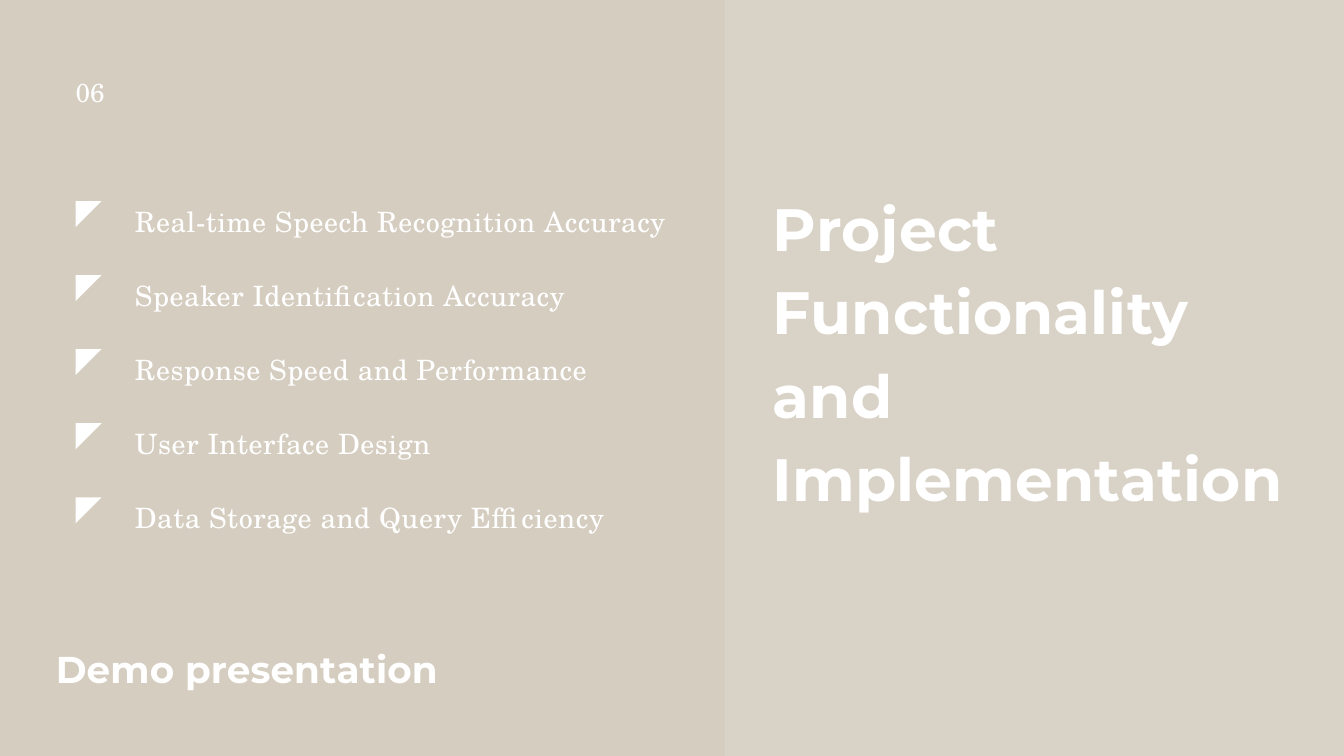
"""Build the project functionality slide."""
from lxml import etree
from pptx import Presentation
from pptx.dml.color import RGBColor
from pptx.enum.shapes import MSO_SHAPE
from pptx.enum.text import MSO_ANCHOR, MSO_AUTO_SIZE, PP_ALIGN
from pptx.oxml.ns import qn
from pptx.util import Cm, Pt

RECT, CORNER = MSO_SHAPE.RECTANGLE, MSO_SHAPE.RIGHT_TRIANGLE
TOP, LEFT, FIXED = MSO_ANCHOR.TOP, PP_ALIGN.LEFT, MSO_AUTO_SIZE.NONE

TITLE = "Project Functionality and Implementation"
NUMBER = "06"
FOOTER = "Demo presentation"
GOALS = [
    "Real-time Speech Recognition Accuracy",
    "Speaker Identification Accuracy",
    "Response Speed and Performance",
    "User Interface Design",
    "Data Storage and Query Efficiency",
]

THEME = {
    "back": RGBColor(0xD5, 0xCD, 0xC0),
    "ink": RGBColor(0xFF, 0xFF, 0xFF),
    "veil": 10,
    "title": {"font": "Montserrat", "size": 64, "bold": True, "line": 89.6, "track": 0.2},
    "footer": {"font": "Montserrat", "size": 40, "bold": True, "line": 89.6, "track": 0.2},
    "goal": {"font": "TeX Gyre Schola", "size": 30, "bold": False, "line": 45, "track": 0.6},
    "number": {"font": "TeX Gyre Schola", "size": 28, "bold": False, "line": 39.2, "track": 0},
}

WIDTH, HEIGHT = 50.8, 28.58
MARGIN, PITCH, MARK = 2.86, 2.8, 0.98
LIST_TOP, MARK_TOP = 7.42, 7.6


def place(shape, left, top, width, height):
    shape.left, shape.top = Cm(left), Cm(top)
    shape.width, shape.height = Cm(width), Cm(height)


def write(shape, lines, style, gap=0):
    frame = shape.text_frame
    frame.word_wrap, frame.auto_size = True, FIXED
    frame.vertical_anchor = TOP
    frame.margin_left = frame.margin_right = frame.margin_top = frame.margin_bottom = 0
    for i, line in enumerate(lines):
        para = frame.add_paragraph() if i else frame.paragraphs[0]
        props = para._p.get_or_add_pPr()
        props.set("marL", "0")
        props.set("indent", "0")
        etree.SubElement(props, qn("a:buNone"))
        para.alignment = LEFT
        para.line_spacing = Pt(style["line"])
        para.space_before = Pt(gap if i else 0)
        run = para.add_run()
        run.text = line
        font = run.font
        font.name, font.size, font.bold = style["font"], Pt(style["size"]), style["bold"]
        font.color.rgb = THEME["ink"]
        run._r.get_or_add_rPr().set("spc", str(round(style["track"] * 100)))


def draw(slide, kind, *box):
    shape = slide.shapes.add_shape(kind, *map(Cm, box))
    shape.shadow.inherit = False
    shape.fill.solid()
    shape.fill.fore_color.rgb = THEME["ink"]
    shape.line.fill.background()
    return shape


def label(slide, text, style, *box):
    write(slide.shapes.add_textbox(*map(Cm, box)), [text], style)


def main():
    deck = Presentation()
    deck.slide_width, deck.slide_height = Cm(WIDTH), Cm(HEIGHT)
    slide = deck.slides.add_slide(deck.slide_layouts[1])
    slide.background.fill.solid()
    slide.background.fill.fore_color.rgb = THEME["back"]

    panel = draw(slide, RECT, 27.4, -1.27, 24.56, 31.12)
    color = panel._element.spPr.find(qn("a:solidFill"))[0]
    etree.SubElement(color, qn("a:alpha"), val=str(THEME["veil"] * 1000))
    slide.shapes._spTree.insert(2, panel._element)

    title, body = slide.shapes.title, slide.placeholders[1]
    place(title, 29.21, 6.78, 20.52, 9.58)
    write(title, [TITLE], THEME["title"])

    goal = THEME["goal"]
    tall = PITCH * (len(GOALS) - 1) + Pt(goal["line"]).cm
    place(body, 5.1, LIST_TOP, 22.58, tall)
    write(body, GOALS, goal, Cm(PITCH).pt - goal["line"])
    for i in range(len(GOALS)):
        mark = draw(slide, CORNER, MARGIN, MARK_TOP + i * PITCH, MARK, MARK)
        mark.rotation = 90

    label(slide, NUMBER, THEME["number"], MARGIN, 2.69, 2.9, 1.22)
    label(slide, FOOTER, THEME["footer"], 2.11, 22.96, 37.95, 3.02)
    deck.save("out.pptx")


if __name__ == "__main__":
    main()
